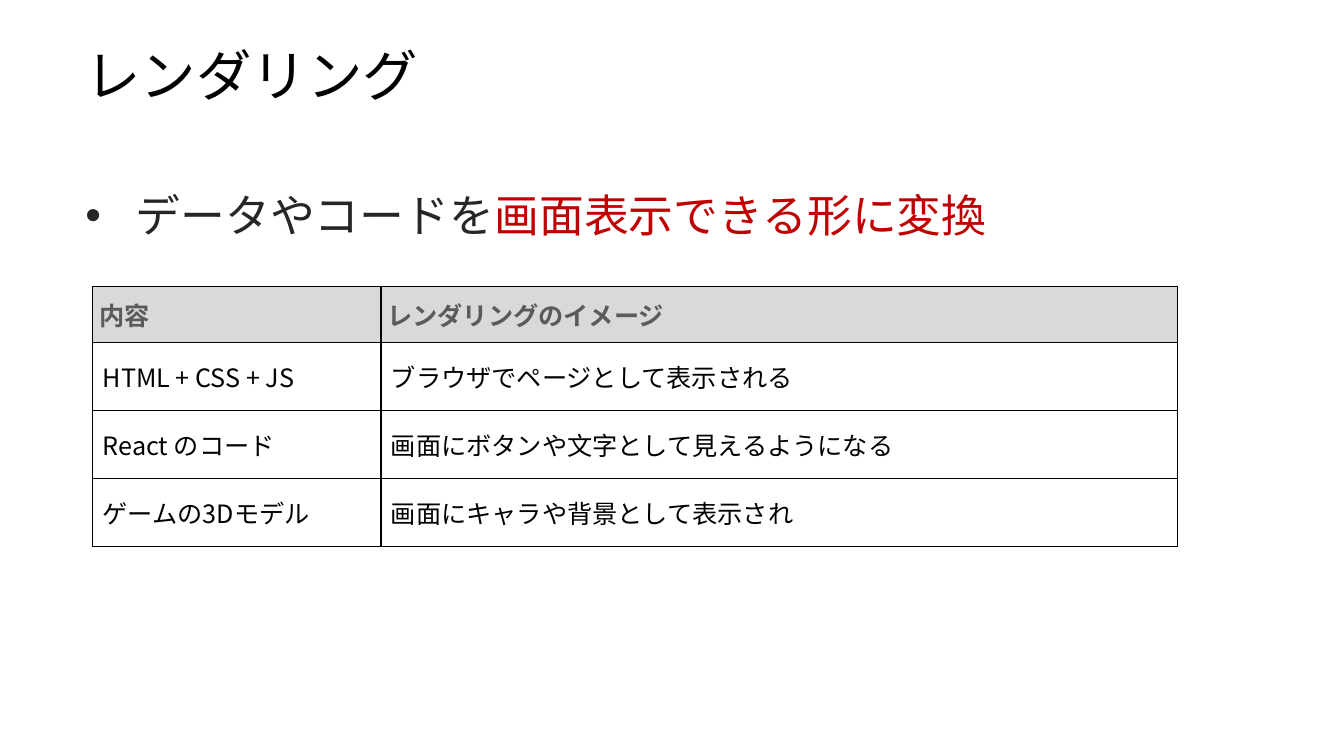
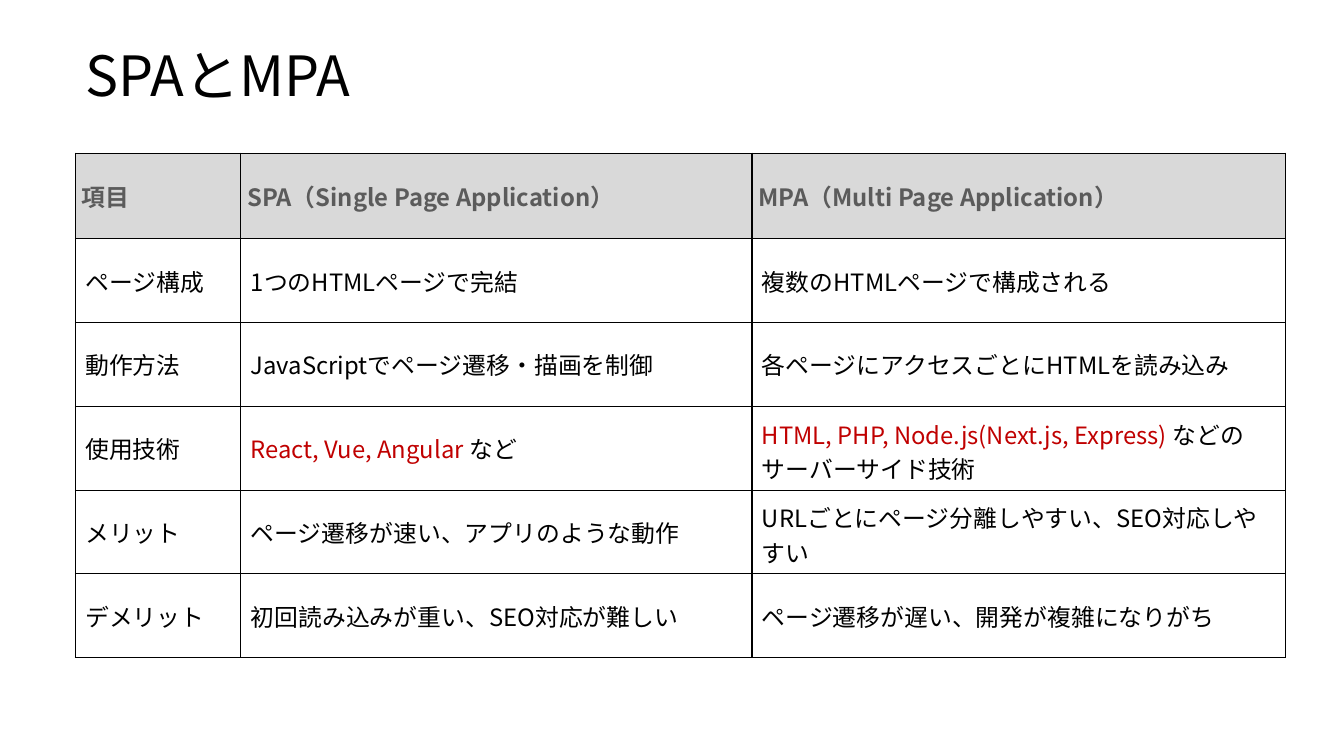
import pptx
import pptx.util
import pptx.dml.color
import pptx.enum.text
import pptx.oxml
import pptx.oxml.ns
from lxml import etree

Cm = pptx.util.Cm
Pt = pptx.util.Pt
RGBColor = pptx.dml.color.RGBColor
qn = pptx.oxml.ns.qn
MIDDLE = pptx.enum.text.MSO_ANCHOR.MIDDLE

BLACK = RGBColor(0x00, 0x00, 0x00)
DARK = RGBColor(0x26, 0x26, 0x26)
GRAY = RGBColor(0x5B, 0x5B, 0x5B)
LIGHT = RGBColor(0xD9, 0xD9, 0xD9)
RED = RGBColor(0xC0, 0x00, 0x00)
FONT = "Noto Sans CJK JP"
TITLE_SIZE = 39.6

pages = [
    {
        "title": "レンダリング",
        "point": "データやコードを*画面表示できる形に変換*",
        "left": 2.34, "top": 7.21, "size": 18,
        "cols": [7.26, 20.07], "head": 1.43, "row": 1.71,
        "cells": [
            ["内容", "レンダリングのイメージ"],
            ["HTML + CSS + JS", "ブラウザでページとして表示される"],
            ["React のコード", "画面にボタンや文字として見えるようになる"],
            ["ゲームの3Dモデル", "画面にキャラや背景として表示され"],
        ],
    },
    {
        "title": "SPAとMPA",
        "point": None,
        "left": 1.9, "top": 3.86, "size": 17,
        "cols": [4.17, 12.88, 13.44], "head": 2.16, "row": 2.11,
        "cells": [
            ["項目", "SPA（Single Page Application）", "MPA（Multi Page Application）"],
            ["ページ構成", "1つのHTMLページで完結", "複数のHTMLページで構成される"],
            ["動作方法", "JavaScriptでページ遷移・描画を制御",
             "各ページにアクセスごとにHTMLを読み込み"],
            ["使用技術", "*React, Vue, Angular *など",
             "*HTML, PHP, Node.js(Next.js, Express) *などのサーバーサイド技術"],
            ["メリット", "ページ遷移が速い、アプリのような動作",
             "URLごとにページ分離しやすい、SEO対応しやすい"],
            ["デメリット", "初回読み込みが重い、SEO対応が難しい",
             "ページ遷移が遅い、開発が複雑になりがち"],
        ],
    },
]


def write(frame, text, size, color, latin=FONT, bold=False):
    frame.word_wrap = True
    para = frame.paragraphs[0]
    font = para.font
    font.name, font.size, font.bold = latin, Pt(size), bold
    font.color.rgb = color
    east = etree.Element(qn("a:ea"), typeface=FONT)
    font._element.find(qn("a:latin")).addnext(east)
    for i, part in enumerate(text.split("*")):
        if part:
            run = para.add_run()
            run.text = part
            if i % 2:
                run.font.color.rgb = RED
    return para


def border(cell):
    props = cell._tc.get_or_add_tcPr()
    for i, side in enumerate(("lnL", "lnR", "lnT", "lnB")):
        line = etree.Element(qn("a:" + side), w=str(Pt(1)))
        fill = etree.SubElement(line, qn("a:solidFill"))
        etree.SubElement(fill, qn("a:srgbClr"), val=str(BLACK))
        props.insert(i, line)


deck = pptx.Presentation()
deck.slide_width = Cm(33.87)
deck.slide_height = Cm(19.05)

for page in pages:
    slide = deck.slides.add_slide(deck.slide_layouts[6])
    title = slide.shapes.add_textbox(Cm(1.9), Cm(1.17), Cm(30.23), Cm(1.6))
    title.text_frame.vertical_anchor = MIDDLE
    para = write(title.text_frame, page["title"], TITLE_SIZE, BLACK)
    para.line_spacing = 0.9

    if page["point"]:
        box = slide.shapes.add_textbox(Cm(1.9), Cm(3.94), Cm(30.18), Cm(2.11))
        para = write(box.text_frame, page["point"], 32, DARK, "Arial")
        para.line_spacing = 1.5
        props = para._p.get_or_add_pPr()
        props.set("marL", str(Cm(1.27)))
        props.set("indent", str(-Cm(1.27)))
        mark = etree.Element(qn("a:buChar"), char="•")
        face = etree.Element(qn("a:buFont"), typeface="Arial")
        props.find(qn("a:lnSpc")).addnext(face)
        face.addnext(mark)

    cells, cols = page["cells"], page["cols"]
    high = page["head"] + page["row"] * (len(cells) - 1)
    table = slide.shapes.add_table(
        len(cells), len(cols), Cm(page["left"]), Cm(page["top"]),
        Cm(sum(cols)), Cm(high)).table
    table.horz_banding = False
    for col, width in zip(table.columns, cols):
        col.width = Cm(width)
    for r, texts in enumerate(cells):
        head = r == 0
        table.rows[r].height = Cm(page["head"] if head else page["row"])
        pad = Cm(0.16 if head else 0.25)
        for c, text in enumerate(texts):
            cell = table.cell(r, c)
            cell.vertical_anchor = MIDDLE
            cell.margin_left = cell.margin_right = pad
            cell.margin_top = cell.margin_bottom = pad
            if head:
                cell.fill.solid()
                cell.fill.fore_color.rgb = LIGHT
            else:
                cell.fill.background()
            border(cell)
            write(cell.text_frame, text, page["size"],
                  GRAY if head else BLACK, bold=head)

deck.save("out.pptx")
